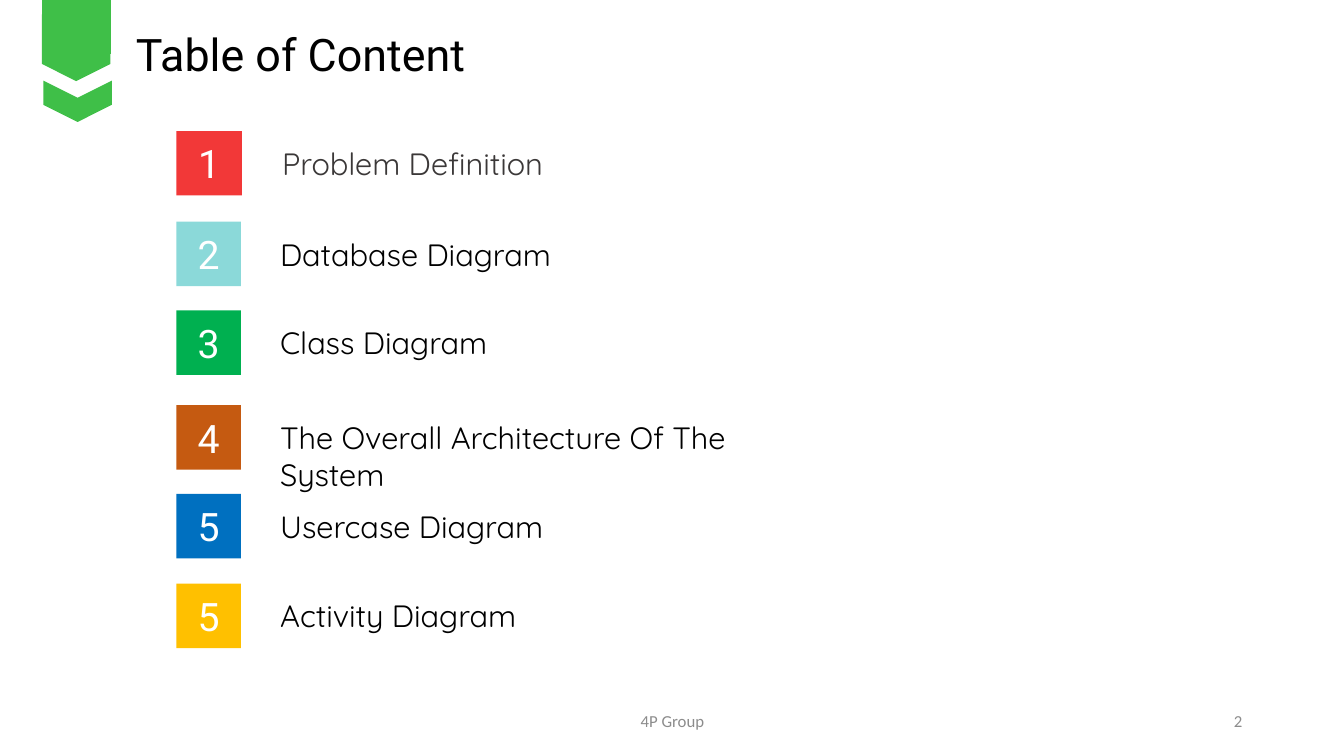
import pptx
import pptx.util
import pptx.dml.color
import pptx.enum.shapes
import pptx.enum.text

Inches = pptx.util.Inches
SHAPE = pptx.enum.shapes.MSO_SHAPE
ALIGN = pptx.enum.text.PP_ALIGN
ANCHOR = pptx.enum.text.MSO_ANCHOR

TITLE = "Table of Content"
# number, label, tile colour, tile top
ITEMS = [
    ("1", "Problem Definition", "F23838", 1.3),
    ("2", "Database Diagram", "8BD9D9", 2.2),
    ("3", "Class Diagram", "00B050", 3.08),
    ("4", "The Overall Architecture Of The System", "C55A11", 4.02),
    ("5", "Usercase Diagram", "0070C0", 4.9),
    ("5", "Activity Diagram", "FFC000", 5.79),
]
# text, box, alignment
FOOTER = [
    ("4P Group", (4.42, 6.95, 4.5, 0.4), ALIGN.CENTER),
    ("2", (9.42, 6.95, 3, 0.4), ALIGN.RIGHT),
]
BAND = [(0.42, -0.28), (1.1, -0.28), (1.1, 0.54), (0.42, 0.54)]
CHEVRON = [(0.43, 0.8), (0.77, 0.97), (1.11, 0.8),
           (1.11, 1.04), (0.77, 1.21), (0.43, 1.04)]
TIP = (0.34, 0.05, 0.83, 0.68)

# text styles: font, size, colour
THEME = {
    "ribbon": "3FBF48",
    "title": ("Roboto", 32, "000000"),
    "number": ("Roboto", 28, "FFFFFF"),
    "first": ("Quicksand", 22, "3B3838"),
    "label": ("Quicksand", 22, "000000"),
    "footer": ("Calibri", 12, "8C8C8C"),
}
TILE_LEFT, TILE = 1.75, 0.64
LABEL_DROP, LABEL_HIGH = 0.085, 0.47


def color(code):
    return pptx.dml.color.RGBColor.from_string(code)


def paint(shape, code):
    shape.shadow.inherit = False
    shape.fill.solid()
    shape.fill.fore_color.rgb = color(code)
    shape.line.fill.background()


def write(shape, text, style, align=ALIGN.LEFT, anchor=ANCHOR.TOP):
    frame = shape.text_frame
    frame.word_wrap = True
    frame.vertical_anchor = anchor
    para = frame.paragraphs[0]
    para.alignment = align
    run = para.add_run()
    run.text = text
    name, size, code = THEME[style]
    run.font.name = name
    run.font.size = pptx.util.Pt(size)
    run.font.color.rgb = color(code)


def add_text(slide, box, *args):
    write(slide.shapes.add_textbox(*map(Inches, box)), *args)


def add_block(slide, kind, box, code):
    shape = slide.shapes.add_shape(kind, *map(Inches, box))
    paint(shape, code)
    return shape


def add_outline(slide, points, code):
    first, *rest = [(Inches(x), Inches(y)) for x, y in points]
    pen = slide.shapes.build_freeform(*first)
    pen.add_line_segments(rest, close=True)
    paint(pen.convert_to_shape(), code)


def add_ribbon(slide):
    green = THEME["ribbon"]
    add_outline(slide, BAND, green)
    add_block(slide, SHAPE.HEXAGON, TIP, green).rotation = 90
    add_outline(slide, CHEVRON, green)


def add_items(slide):
    for row, (number, label, code, top) in enumerate(ITEMS):
        first = row == 0
        wide = 0.65 if first else TILE
        tile = add_block(slide, SHAPE.RECTANGLE,
                         (TILE_LEFT, top, wide, TILE), code)
        write(tile, number, "number", ALIGN.CENTER, ANCHOR.MIDDLE)
        left, span = (2.7, 6.72) if first else (2.68, 5.25)
        add_text(slide, (left, top + LABEL_DROP, span, LABEL_HIGH),
                 label, "first" if first else "label")


def main():
    deck = pptx.Presentation()
    deck.slide_width, deck.slide_height = Inches(13.33), Inches(7.5)
    slide = deck.slides.add_slide(deck.slide_layouts[6])
    add_ribbon(slide)
    add_text(slide, (1.25, 0.22, 3.94, 0.64), TITLE, "title")
    add_items(slide)
    for text, box, align in FOOTER:
        add_text(slide, box, text, "footer", align, ANCHOR.MIDDLE)
    deck.save("out.pptx")


if __name__ == "__main__":
    main()
